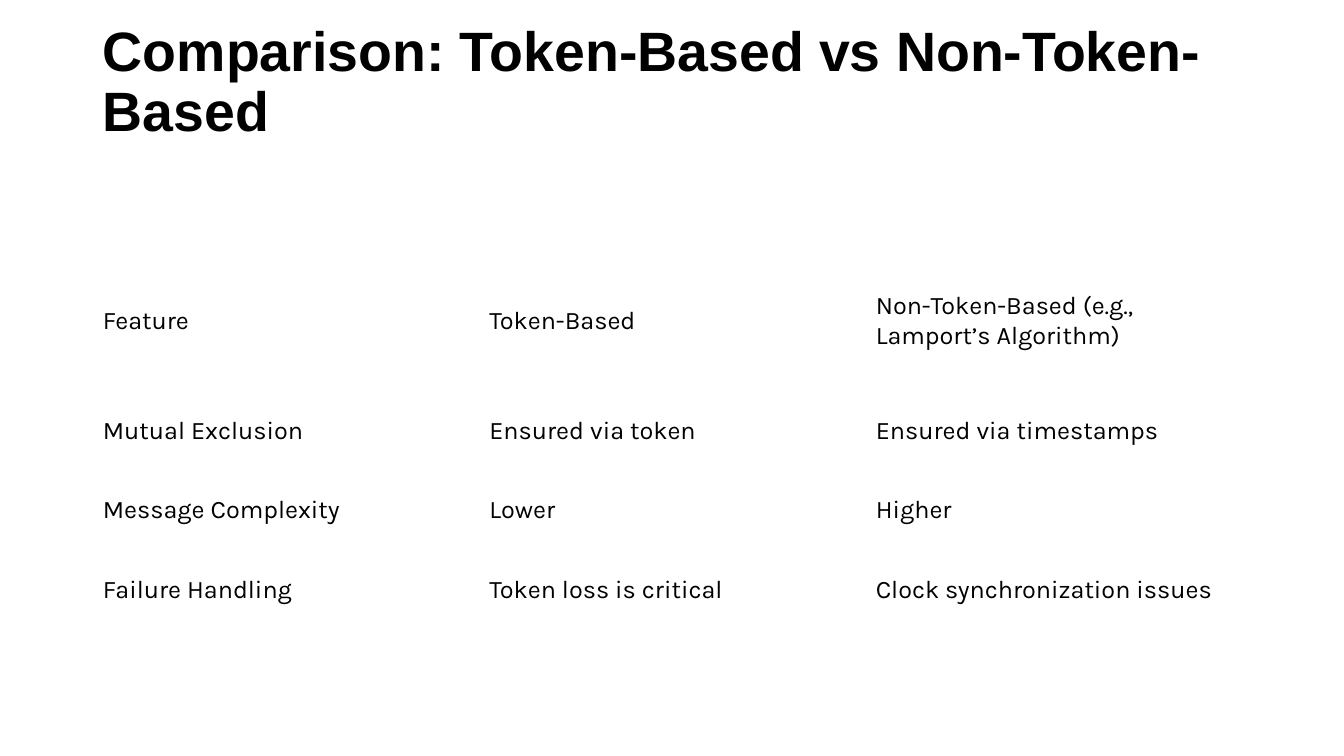
from pptx import Presentation
from pptx.dml.color import RGBColor
from pptx.enum.text import MSO_ANCHOR, MSO_AUTO_SIZE, PP_ALIGN
from pptx.util import Inches, Pt

COLORS = {"text": "000000"}
LEFT, WIDTH = 0.92, 11.5
HEIGHTS = [1.39, 0.79, 0.79, 0.79]
ROWS = [
    ["Feature", "Token-Based", "Non-Token-Based (e.g., Lamport’s Algorithm)"],
    ["Mutual Exclusion", "Ensured via token", "Ensured via timestamps"],
    ["Message Complexity", "Lower", "Higher"],
    ["Failure Handling", "Token loss is critical", "Clock synchronization issues"],
]


def style(font, name, size, bold=False):
    """Set the typeface, size, weight and colour of a font."""
    font.name = name
    font.size = Pt(size)
    font.bold = bold
    font.color.rgb = RGBColor.from_string(COLORS["text"])


def add_title(slide, text):
    """Place and format the title placeholder."""
    title = slide.shapes.title
    title.left, title.top = Inches(LEFT), Inches(0.4)
    title.width, title.height = Inches(WIDTH), Inches(1.45)
    frame = title.text_frame
    frame.text = text
    frame.word_wrap = True
    frame.auto_size = MSO_AUTO_SIZE.NONE
    frame.vertical_anchor = MSO_ANCHOR.MIDDLE
    frame.margin_bottom = Inches(0.64)
    para = frame.paragraphs[0]
    para.alignment = PP_ALIGN.LEFT
    para.line_spacing = 0.9
    style(para.font, "Arial", 39.6, True)


def add_grid(slide, rows, heights):
    """Add a plain table with equal columns."""
    table = slide.shapes.add_table(
        len(rows), len(rows[0]), Inches(LEFT), Inches(2.49),
        Inches(WIDTH), Inches(sum(heights)),
    ).table
    table.first_row = table.horz_banding = False
    for row, height, texts in zip(table.rows, heights, rows):
        row.height = Inches(height)
        for cell, text in zip(row.cells, texts):
            cell.text = text
            cell.fill.background()
            cell.vertical_anchor = MSO_ANCHOR.MIDDLE
            style(cell.text_frame.paragraphs[0].font, "Karla", 18)


def main():
    """Build the slide and save it."""
    deck = Presentation()
    deck.slide_width, deck.slide_height = Inches(13.33), Inches(7.5)
    slide = deck.slides.add_slide(deck.slide_layouts[5])
    add_title(slide, "Comparison: Token-Based vs Non-Token-Based")
    add_grid(slide, ROWS, HEIGHTS)
    deck.save("out.pptx")


if __name__ == "__main__":
    main()
